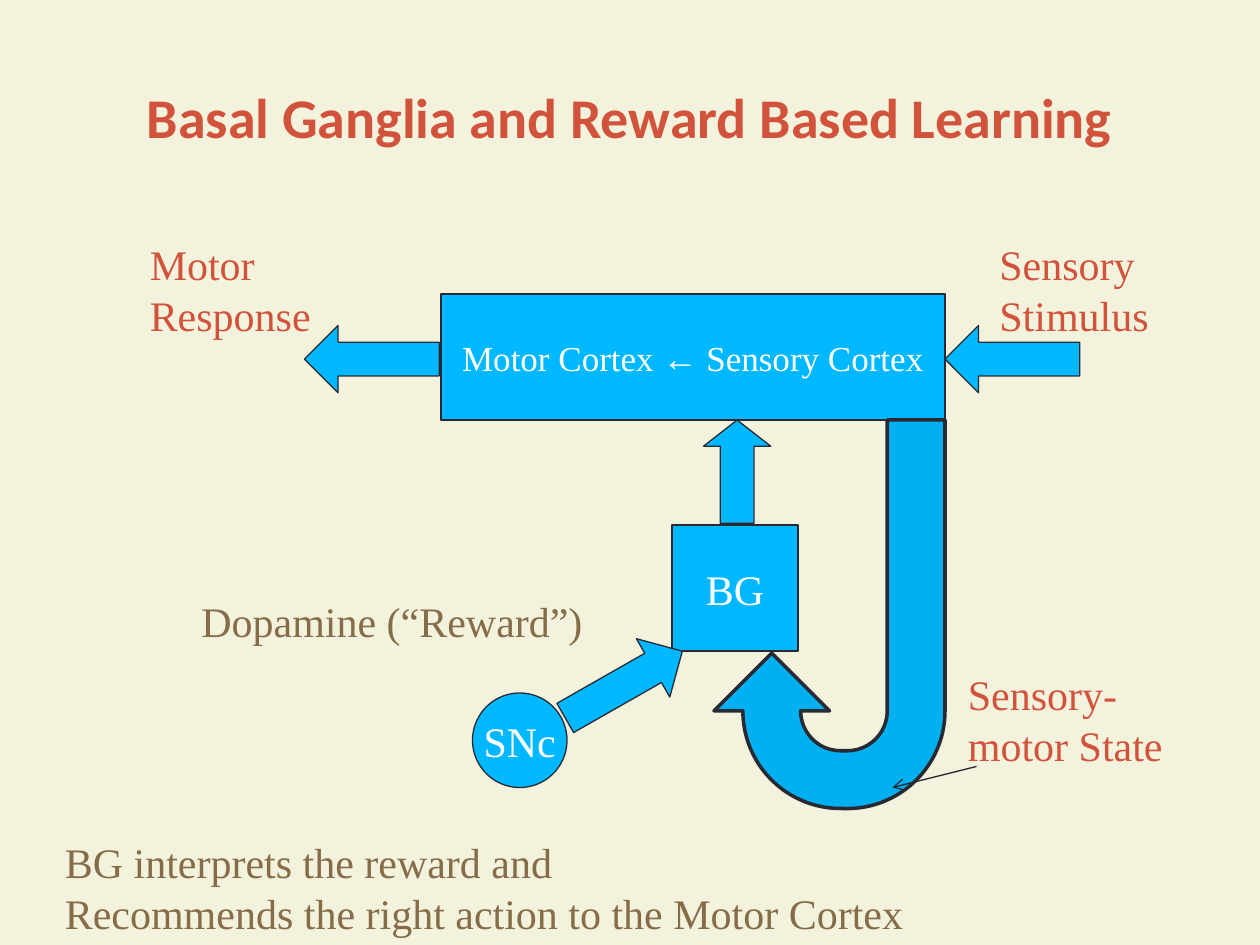
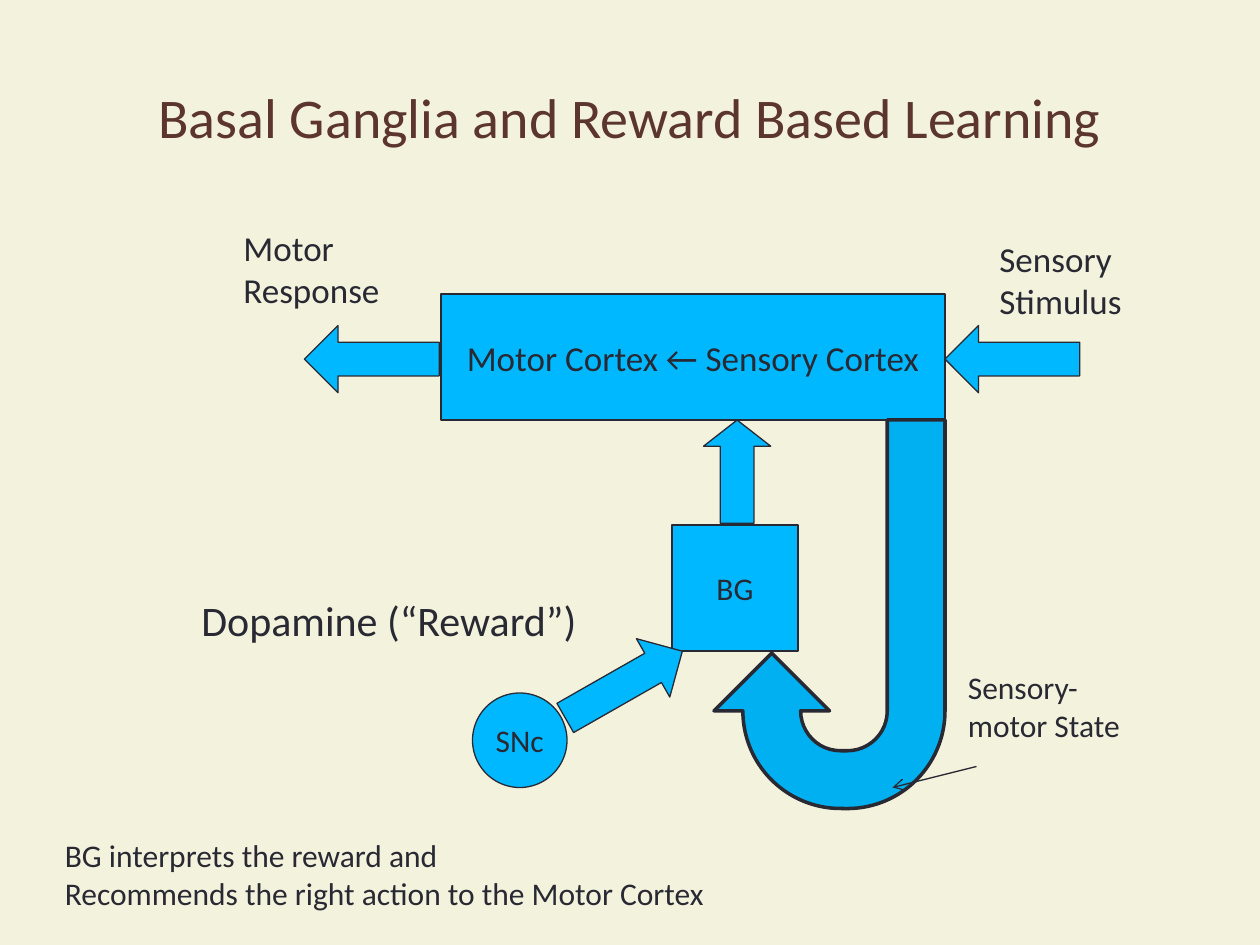
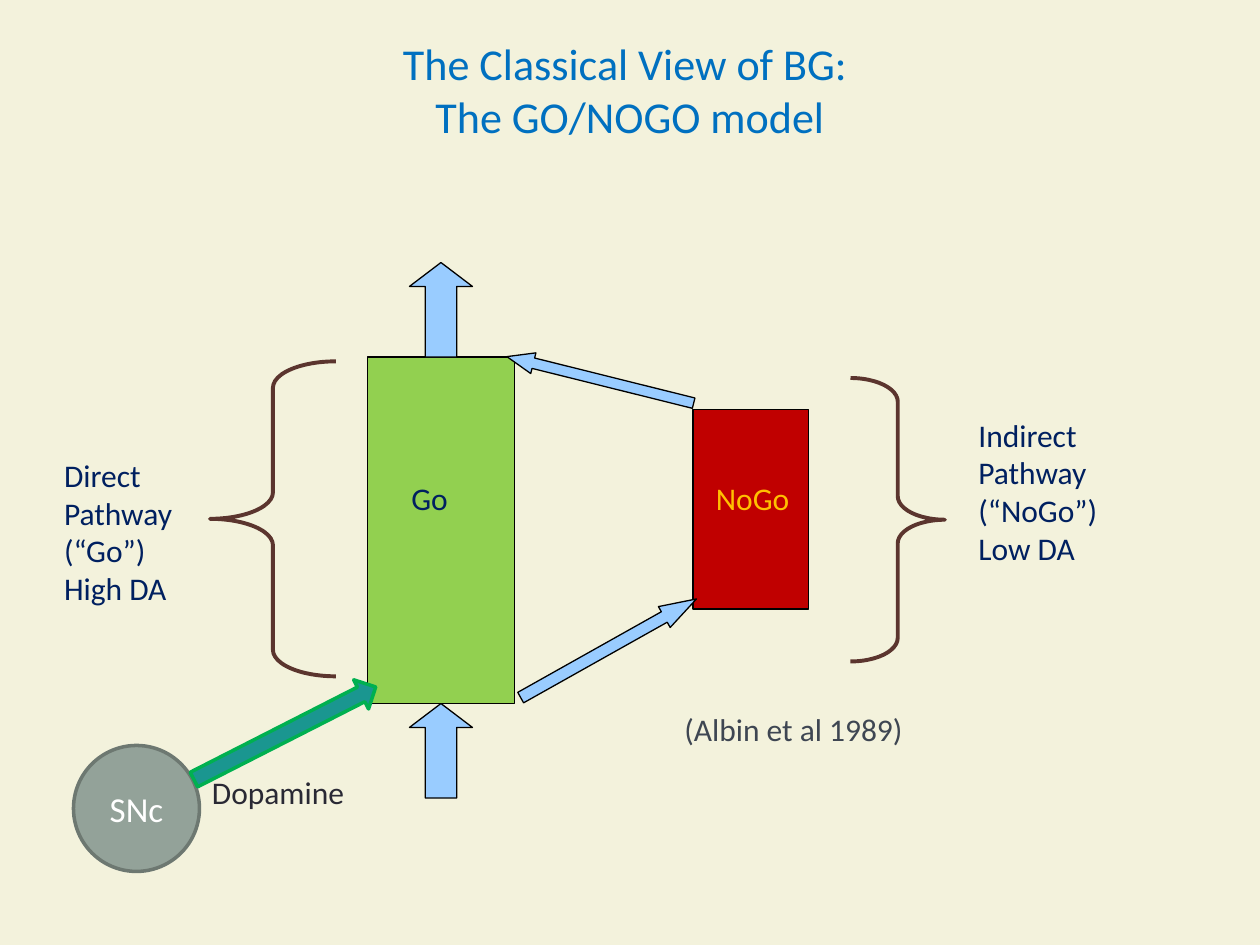
from lxml import etree
from pptx import Presentation
from pptx import util as u
from pptx.dml.color import RGBColor
from pptx.enum import shapes, text
from pptx.oxml import ns

Pt = u.Pt
KIND = shapes.MSO_SHAPE
CREAM = RGBColor(0xF3, 0xF2, 0xDC)
INK = RGBColor(0x29, 0x29, 0x34)
BLACK = RGBColor(0, 0, 0)
WHITE = RGBColor(255, 255, 255)
RED = RGBColor(0xD2, 0x53, 0x3C)
TAN = RGBColor(0x86, 0x6C, 0x49)
BROWN = RGBColor(0x5B, 0x35, 0x2E)
CYAN = RGBColor(0, 0xB8, 0xFF)
AZURE = RGBColor(0, 0xB0, 0xF0)
BLUE = RGBColor(0, 0x70, 0xC0)
NAVY = RGBColor(0, 0x20, 0x60)
SKY = RGBColor(0x99, 0xCC, 0xFF)
LIME = RGBColor(0x92, 0xD0, 0x50)
GREEN = RGBColor(0, 0xB0, 0x50)
TEAL = RGBColor(0x1A, 0x96, 0x90)
CRIMSON = RGBColor(0xC0, 0, 0)
GOLD = RGBColor(0xFF, 0xC0, 0)
SLATE = RGBColor(0x3E, 0x46, 0x52)
SAGE = RGBColor(0x93, 0xA2, 0x99)
MOSS = RGBColor(0x6D, 0x78, 0x71)
SANS, SERIF = "Calibri", "Times New Roman"
TITLE_BOX = (36, 21.6, 648, 90)


def draw(slide, kind, box, fill=None, line=INK, width=0.75, adj=(), turn=0):
    """Add a preset shape; box is left, top, width, height in points."""
    shape = slide.shapes.add_shape(kind, *map(Pt, box))
    shape.shadow.inherit = False
    if fill is None:
        shape.fill.background()
    else:
        shape.fill.solid()
        shape.fill.fore_color.rgb = fill
    shape.line.color.rgb = line
    shape.line.width = Pt(width)
    for i, value in enumerate(adj):
        shape.adjustments[i] = value
    shape.rotation = turn
    return shape


def write(shape, words, size=18, color=INK, font=SANS, bold=False,
          center=False, wrap=False, grow=False):
    """Fill a shape with text, one paragraph a line; centred text is also middled."""
    frame = shape.text_frame
    frame.text = words
    frame.word_wrap = wrap
    frame.auto_size = (text.MSO_AUTO_SIZE.SHAPE_TO_FIT_TEXT if grow
                       else text.MSO_AUTO_SIZE.NONE)
    frame.vertical_anchor = text.MSO_ANCHOR.MIDDLE if center else text.MSO_ANCHOR.TOP
    for para in frame.paragraphs:
        para.alignment = text.PP_ALIGN.CENTER if center else text.PP_ALIGN.LEFT
        if font == SERIF:
            para.line_spacing = Pt(round(size * 1.22, 1))
        for run in para.runs:
            run.font.size = Pt(size)
            run.font.name = font
            run.font.bold = bold
            run.font.color.rgb = color
    return frame


deck = Presentation()
deck.slide_width, deck.slide_height = Pt(720), Pt(540)
pages = [deck.slides.add_slide(deck.slide_layouts[6]) for _ in range(3)]
for page in pages:
    page.background.fill.solid()
    page.background.fill.fore_color.rgb = CREAM

# Slides 1 and 2: the reward loop in two text styles
looks = [
    dict(font=SERIF, title=RED, bold=True, shape=WHITE, io=RED, note=TAN,
         node=24, label=24, small=24,
         motor=(78.5, 132, 107.3, 65.5), sense=(564, 132, 100.8, 65.5)),
    dict(font=SANS, title=BROWN, bold=False, shape=INK, io=INK, note=INK,
         node=18, label=20, small=18,
         motor=(132, 126, 92.9, 55.4), sense=(564, 132, 85.7, 55.4)),
]
for page, look in zip(pages, looks):
    font = look["font"]
    title = page.shapes.add_textbox(*map(Pt, TITLE_BOX))
    write(title, "Basal Ganglia and Reward Based Learning", size=32,
          color=look["title"], bold=look["bold"], center=True, wrap=True)

    for kind, box, words, size in [
        (KIND.RECTANGLE, (252, 168, 288, 72), "Motor Cortex ← Sensory Cortex", 20),
        (KIND.RECTANGLE, (384, 300, 72, 72), "BG", look["node"]),
        (KIND.OVAL, (270, 396, 54, 54), "SNc", look["node"]),
    ]:
        write(draw(page, kind, box, CYAN), words, size=size,
              color=look["shape"], font=font, center=True)

    for kind, box, head, turn in [
        (KIND.RIGHT_ARROW, (318, 372, 77, 38.4), 0.5, 330.3),
        (KIND.UP_ARROW, (402, 240, 38.4, 59), 0.39, 0),
        (KIND.LEFT_ARROW, (174, 186, 77, 38.4), 0.5, 0),
        (KIND.LEFT_ARROW, (540, 186, 77, 38.4), 0.5, 0),
    ]:
        draw(page, kind, box, CYAN, adj=(0.5, head), turn=turn)
    draw(page, KIND.U_TURN_ARROW, (408, 240, 132, 222), AZURE, width=2,
         adj=(0.25, 0.25, 0.25, 0.44, 0.4), turn=180)

    for box, words, size, color in [
        ((108, 336, 232.6, 36), "Dopamine (“Reward”)", 24, look["note"]),
        (look["sense"], "Sensory\nStimulus", look["label"], look["io"]),
        (look["motor"], "Motor\nResponse", look["label"], look["io"]),
        ((546, 378, 126.7, 65.5), "Sensory-\nmotor State", look["small"], look["io"]),
        ((30, 474, 497.5, 65.5), "BG interprets the reward and\n"
         "Recommends the right action to the Motor Cortex", look["small"], look["note"]),
    ]:
        label = page.shapes.add_textbox(*map(Pt, box))
        write(label, words, size=size, color=color, font=font, grow=True)

    pointer = page.shapes.add_connector(
        shapes.MSO_CONNECTOR.STRAIGHT, Pt(558), Pt(438), Pt(510), Pt(450))
    pointer.line.color.rgb = INK
    pointer.line.width = Pt(0.75)
    etree.SubElement(pointer.line._get_or_add_ln(), ns.qn("a:tailEnd"), type="arrow")
    etree.SubElement(pointer._element.spPr, ns.qn("a:effectLst"))

# Slide 3: the Go/NoGo model
page = pages[2]
title = page.shapes.add_textbox(*map(Pt, TITLE_BOX))
frame = write(title, "The Classical View of BG: \vThe GO/NOGO model", size=25.2,
              color=BLUE, center=True, wrap=True)
frame.margin_bottom = Pt(34.4)

for kind, box, fill, adj, turn in [
    (KIND.RECTANGLE, (210, 204, 84, 198), LIME, (), 0),
    (KIND.RECTANGLE, (396, 234, 66, 114), CRIMSON, (), 0),
    (KIND.LEFT_ARROW, (288, 211, 110, 12.2), SKY, (0.5, 1.28), 14),
    (KIND.RIGHT_ARROW, (290.2, 363.6, 115.2, 13.7), SKY, (0.5, 1.54), 330.7),
    (KIND.UP_ARROW, (234, 402, 36, 54), SKY, (0.5, 0.38), 0),
    (KIND.UP_ARROW, (234, 150, 36, 54), SKY, (0.5, 0.38), 0),
]:
    draw(page, kind, box, fill, BLACK, adj=adj, turn=turn)
draw(page, KIND.LEFT_BRACE, (120, 206.5, 72, 180), line=BROWN, width=2.25, adj=(0.21, 0.5))
draw(page, KIND.RIGHT_BRACE, (486, 216, 54, 162), line=BROWN, width=2.25, adj=(0.25, 0.5))

source = draw(page, KIND.OVAL, (42, 426, 72, 72), SAGE, MOSS, 2)
write(source, "SNc", size=20, color=WHITE, center=True, wrap=True)
draw(page, KIND.DOWN_ARROW, (153.4, 360.7, 18.7, 116.6), TEAL, GREEN, 2, turn=243)

for box, words, color, grow in [
    ((552, 234, 110, 93.6), "Indirect\nPathway\n(“NoGo”)\nLow DA", NAVY, False),
    ((29.5, 257, 97.2, 93.6), "Direct\nPathway\n(“Go”)\nHigh DA", NAVY, False),
    ((228, 270, 51.8, 54), "Go", NAVY, False),
    ((402, 270, 46, 54), "NoGo", GOLD, False),
    ((384, 402, 186, 36), "(Albin et al 1989)", SLATE, False),
    ((114, 438, 115, 36.7), "Dopamine", INK, True),
]:
    label = page.shapes.add_textbox(*map(Pt, box))
    write(label, words, color=color, grow=grow)

deck.save("out.pptx")
